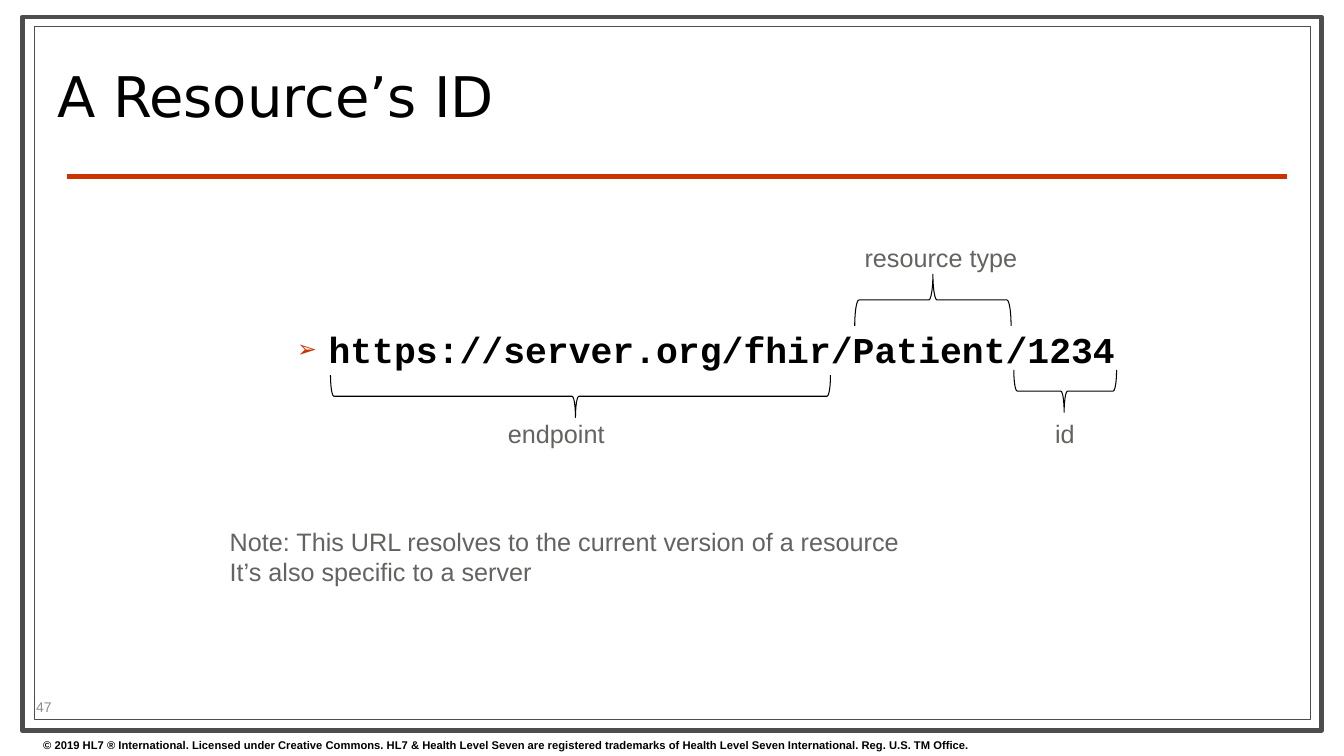
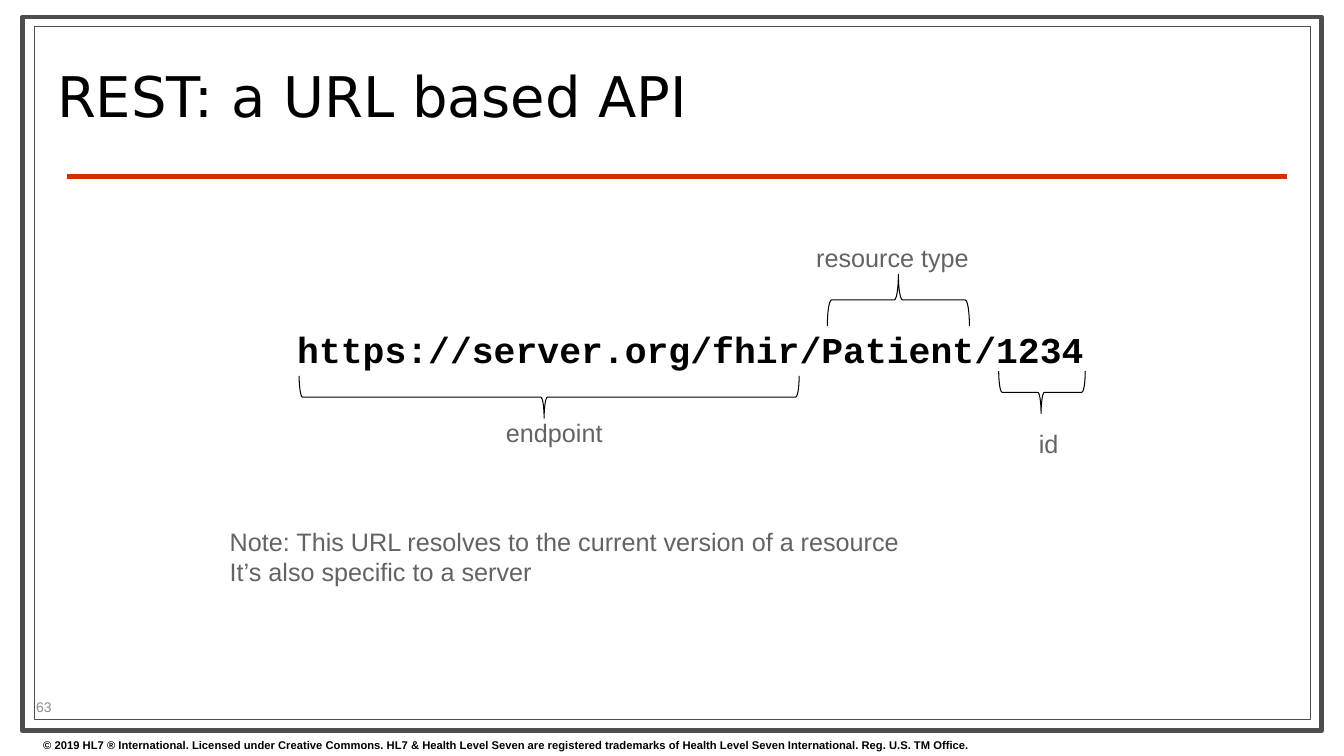
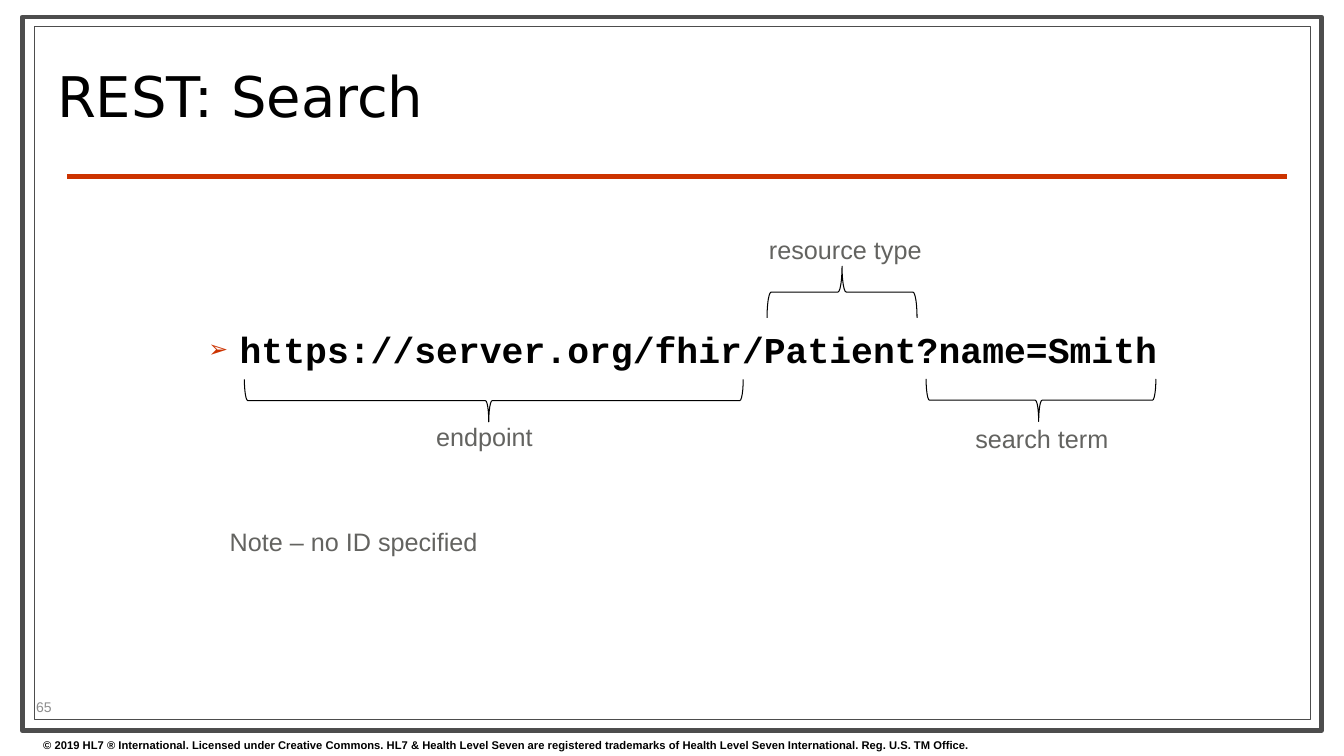
from dataclasses import dataclass

from lxml import etree
from pptx import Presentation
from pptx.dml.color import RGBColor
from pptx.enum import shapes, text
from pptx.oxml import ns
from pptx.util import Cm, Pt


@dataclass(frozen=True)
class Theme:
    black: RGBColor = RGBColor(0x00, 0x00, 0x00)
    white: RGBColor = RGBColor(0xFF, 0xFF, 0xFF)
    frame: RGBColor = RGBColor(0x4D, 0x4D, 0x4D)
    accent: RGBColor = RGBColor(0xCC, 0x33, 0x00)
    label: RGBColor = RGBColor(0x63, 0x63, 0x60)
    number: RGBColor = RGBColor(0x8C, 0x8C, 0x8C)
    title_font: str = "DejaVu Sans"
    body_font: str = "Arial"
    code_font: str = "Courier New"
    title_size: int = 40
    code_size: int = 26
    label_size: int = 18
    number_size: int = 10
    footer_size: int = 8


THEME = Theme()
FOOTER = (
    "© 2019 HL7 ® International. Licensed under Creative Commons. "
    "HL7 & Health Level Seven are registered trademarks of "
    "Health Level Seven International. Reg. U.S. TM Office."
)
# left, top, width, height, line width
FRAMES = [(0.56, 0.43, 32.74, 17.98, 3.5), (0.86, 0.66, 32.16, 17.48, 0.75)]
URL_NOTE = [
    "Note: This URL resolves to the current version of a resource",
    "It’s also specific to a server",
]
# Each part: label, label left, label top, brace left, brace top, brace length, opens down
SLIDES = [
    {
        "title": "A Resource’s ID", "number": "47", "note": URL_NOTE,
        "url": "https://server.org/fhir/Patient/1234", "url_left": 5.97, "bullet": True,
        "parts": [
            ("endpoint", 12.55, 10.41, 8.33, 9.45, 12.6, False),
            ("resource type", 21.54, 5.97, 21.54, 6.91, 3.94, True),
            ("id", 26.34, 10.41, 25.55, 9.32, 2.59, False),
        ],
    },
    {
        "title": "REST: a URL based API", "number": "63", "note": URL_NOTE,
        "url": "https://server.org/fhir/Patient/1234", "url_left": 5.97, "bullet": False,
        "parts": [
            ("endpoint", 12.5, 10.39, 7.54, 9.47, 12.6, False),
            ("resource type", 20.32, 5.97, 20.85, 6.91, 3.58, True),
            ("id", 25.93, 10.67, 25.17, 9.35, 2.18, False),
        ],
    },
    {
        "title": "REST: Search", "number": "65", "note": ["Note – no ID specified"],
        "url": "https://server.org/fhir/Patient?name=Smith", "url_left": 3.73, "bullet": True,
        "parts": [
            ("endpoint", 10.74, 10.49, 6.16, 9.56, 12.57, False),
            ("resource type", 19.13, 5.77, 19.33, 6.71, 3.78, True),
            ("search term", 24.33, 10.54, 23.34, 9.55, 5.79, False),
        ],
    },
]


def add_text(slide, lines, left, top, width, height, size, color,
             font=THEME.body_font, bold=False, anchor=text.MSO_ANCHOR.TOP):
    """Add a wrapping text box, one paragraph per line, and return its paragraphs."""
    text_frame = slide.shapes.add_textbox(Cm(left), Cm(top), Cm(width), Cm(height)).text_frame
    text_frame.word_wrap = True
    text_frame.vertical_anchor = anchor
    text_frame.text = "\n".join(lines)
    for paragraph in text_frame.paragraphs:
        for run in paragraph.runs:
            run.font.name = font
            run.font.size = Pt(size)
            run.font.bold = bold
            run.font.color.rgb = color
    return text_frame.paragraphs


def add_brace(slide, left, top, length, opens_down):
    """Add a horizontal brace by turning a left brace a quarter turn."""
    depth = 1.3 if opens_down else 1.07
    center_x, center_y = left + length / 2, top + depth / 2
    brace = slide.shapes.add_shape(
        shapes.MSO_SHAPE.LEFT_BRACE,
        Cm(center_x - depth / 2), Cm(center_y - length / 2), Cm(depth), Cm(length))
    brace.rotation = 90 if opens_down else 270
    brace.adjustments[0] = 0.08
    brace.adjustments[1] = 0.5 if opens_down else 0.49
    brace.shadow.inherit = False
    brace.fill.background()
    brace.line.color.rgb = THEME.black
    brace.line.width = Pt(0.75)


presentation = Presentation()
presentation.slide_width = Cm(33.87)
presentation.slide_height = Cm(19.05)

for content in SLIDES:
    slide = presentation.slides.add_slide(presentation.slide_layouts[6])

    for left, top, width, height, line_width in FRAMES:
        frame = slide.shapes.add_shape(
            shapes.MSO_SHAPE.RECTANGLE, Cm(left), Cm(top), Cm(width), Cm(height))
        frame.shadow.inherit = False
        frame.fill.solid()
        frame.fill.fore_color.rgb = THEME.white
        frame.line.color.rgb = THEME.frame
        frame.line.width = Pt(line_width)

    rule = slide.shapes.add_connector(
        shapes.MSO_CONNECTOR.STRAIGHT, Cm(1.7), Cm(4.45), Cm(32.44), Cm(4.45))
    rule.line.color.rgb = THEME.accent
    rule.line.width = Pt(3)
    etree.SubElement(rule._element.spPr, ns.qn("a:effectLst"))

    add_text(slide, [FOOTER], 0.84, 18.47, 32.5, 0.58,
             THEME.footer_size, THEME.black, bold=True)
    title = add_text(slide, [content["title"]], 1.19, 0.91, 24.26, 3.28, THEME.title_size,
                     THEME.black, THEME.title_font, anchor=text.MSO_ANCHOR.MIDDLE)
    title[0].line_spacing = 0.8

    url = add_text(slide, [content["url"]], content["url_left"], 8.13, 27, 1.3,
                   THEME.code_size, THEME.black, THEME.code_font, bold=True)
    properties = url[0]._p.get_or_add_pPr()
    if content["bullet"]:
        properties.set("marL", str(Cm(2.06)))
        properties.set("indent", str(Cm(-0.79)))
        bullet_color = etree.SubElement(properties, ns.qn("a:buClr"))
        etree.SubElement(bullet_color, ns.qn("a:srgbClr"), val=str(THEME.accent))
        etree.SubElement(properties, ns.qn("a:buSzPct"), val="65000")
        etree.SubElement(properties, ns.qn("a:buFont"), typeface=THEME.body_font)
        etree.SubElement(properties, ns.qn("a:buChar"), char="➢")
    else:
        properties.set("marL", str(Cm(1.27)))

    for label, label_left, label_top, *brace in content["parts"]:
        add_brace(slide, *brace)
        add_text(slide, [label], label_left, label_top, 4.6, 1.02,
                 THEME.label_size, THEME.label)

    add_text(slide, content["note"], 5.54, 13.13, 18, 1.8, THEME.label_size, THEME.label)
    add_text(slide, [content["number"]], 0.66, 17.5, 2.67, 0.61,
             THEME.number_size, THEME.number, anchor=text.MSO_ANCHOR.MIDDLE)

presentation.save("out.pptx")
